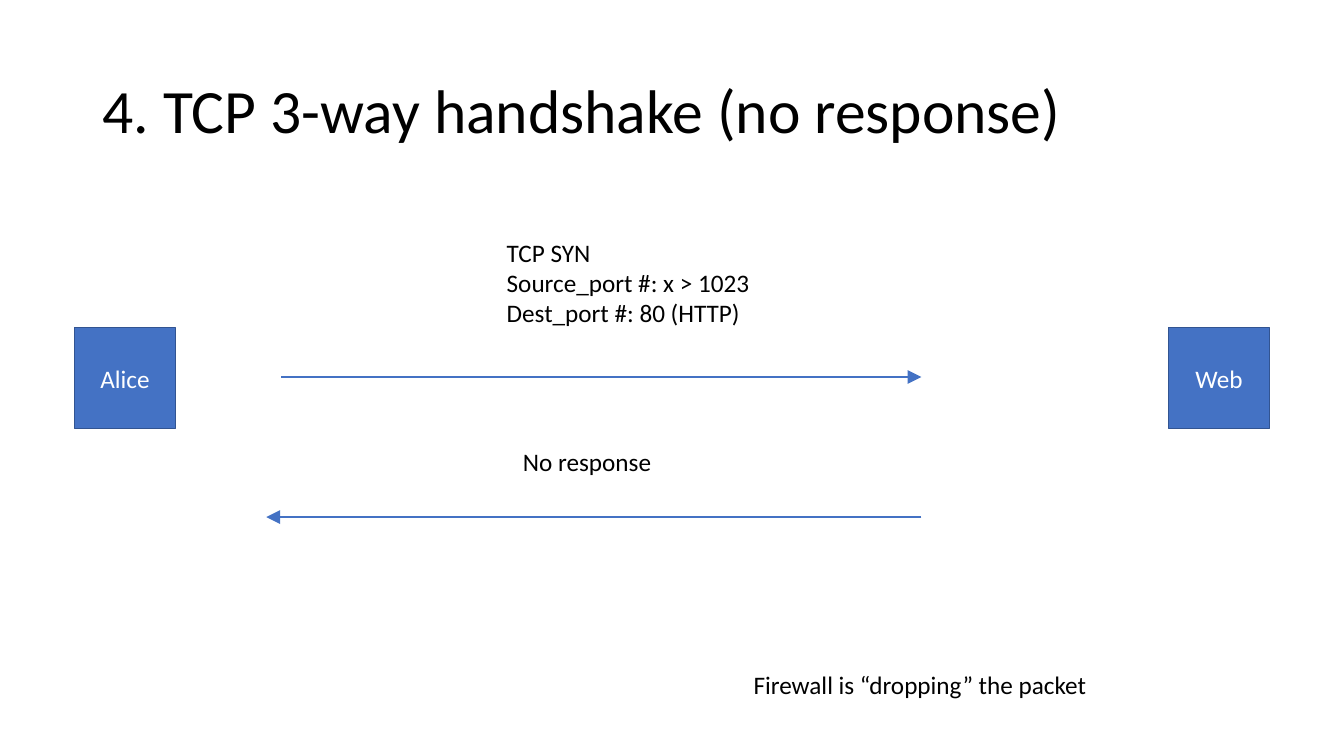
"""Build a slide on a TCP handshake whose opening packet is dropped."""
from lxml import etree
from pptx import Presentation
from pptx import util as u
from pptx.dml.color import RGBColor
from pptx.enum import shapes, text
from pptx.oxml import ns

BLACK = RGBColor(0x00, 0x00, 0x00)
WHITE = RGBColor(0xFF, 0xFF, 0xFF)
BLUE = RGBColor(0x44, 0x72, 0xC4)
NAVY = RGBColor(0x32, 0x54, 0x91)

TITLE = "4. TCP 3-way handshake (no response)"
HOSTS = [("Alice", 1.88), ("Web", 29.45)]
HOST_TOP, HOST_SIDE = 8.26, 2.54
ARROWS = [(7.09, 23.22, 9.5), (23.22, 6.71, 13.03)]
NOTES = [
    ("TCP SYN\nSource_port #: x > 1023\nDest_port #: 80 (HTTP)", 12.52, 5.85, 6.71, 2.57),
    ("No response", 12.93, 11.13, 3.78, 1.02),
    ("Firewall is “dropping” the packet", 18.74, 16.74, 8.99, 1.02),
]


def apply(target, values):
    """Set each named attribute on the target."""
    for name, value in values.items():
        setattr(target, name, value)


def write(frame, words, size, color, align, frame_format):
    """Fill a text frame with one paragraph per line of words."""
    frame.text = words
    apply(frame, frame_format)
    for para in frame.paragraphs:
        para.alignment = align
        apply(para.runs[0].font, {"name": "Calibri", "size": u.Pt(size)})
        para.runs[0].font.color.rgb = color


def add_title(page):
    """Place and format the title placeholder."""
    title = page.shapes.title
    apply(title, {"left": u.Cm(2.33), "top": u.Cm(1.01),
                  "width": u.Cm(29.21), "height": u.Cm(3.68)})
    write(title.text_frame, TITLE, 44, BLACK, text.PP_ALIGN.LEFT,
          {"vertical_anchor": text.MSO_ANCHOR.MIDDLE,
           "auto_size": text.MSO_AUTO_SIZE.NONE})
    title.text_frame.paragraphs[0].line_spacing = 0.9


def add_host(page, name, left):
    """Draw one named host as a square."""
    host = page.shapes.add_shape(
        shapes.MSO_SHAPE.RECTANGLE, u.Cm(left), u.Cm(HOST_TOP),
        u.Cm(HOST_SIDE), u.Cm(HOST_SIDE))
    host.shadow.inherit = False
    host.fill.solid()
    host.fill.fore_color.rgb = BLUE
    host.line.color.rgb = NAVY
    host.line.width = u.Pt(1)
    write(host.text_frame, name, 18, WHITE, text.PP_ALIGN.CENTER,
          {"vertical_anchor": text.MSO_ANCHOR.MIDDLE})


def add_arrow(page, start, end, height):
    """Draw a level arrow from start to end."""
    arrow = page.shapes.add_connector(
        shapes.MSO_CONNECTOR.STRAIGHT, u.Cm(start), u.Cm(height),
        u.Cm(end), u.Cm(height))
    arrow.line.color.rgb = BLUE
    arrow.line.width = u.Pt(1.5)
    outline = arrow.line._get_or_add_ln()
    etree.SubElement(outline, ns.qn("a:tailEnd"), type="triangle", w="lg", len="lg")
    etree.SubElement(outline.getparent(), ns.qn("a:effectLst"))


def add_note(page, words, *bounds):
    """Add a plain label that keeps its own line breaks."""
    box = page.shapes.add_textbox(*map(u.Cm, bounds))
    write(box.text_frame, words, 18, BLACK, text.PP_ALIGN.LEFT,
          {"word_wrap": False,
           "auto_size": text.MSO_AUTO_SIZE.SHAPE_TO_FIT_TEXT})


def main():
    """Assemble and save the deck."""
    deck = Presentation()
    apply(deck, {"slide_width": u.Cm(33.87), "slide_height": u.Cm(19.05)})
    page = deck.slides.add_slide(deck.slide_layouts.get_by_name("Title Only"))
    add_title(page)
    for add, items in ((add_host, HOSTS), (add_arrow, ARROWS), (add_note, NOTES)):
        for item in items:
            add(page, *item)
    deck.save("out.pptx")


if __name__ == "__main__":
    main()
